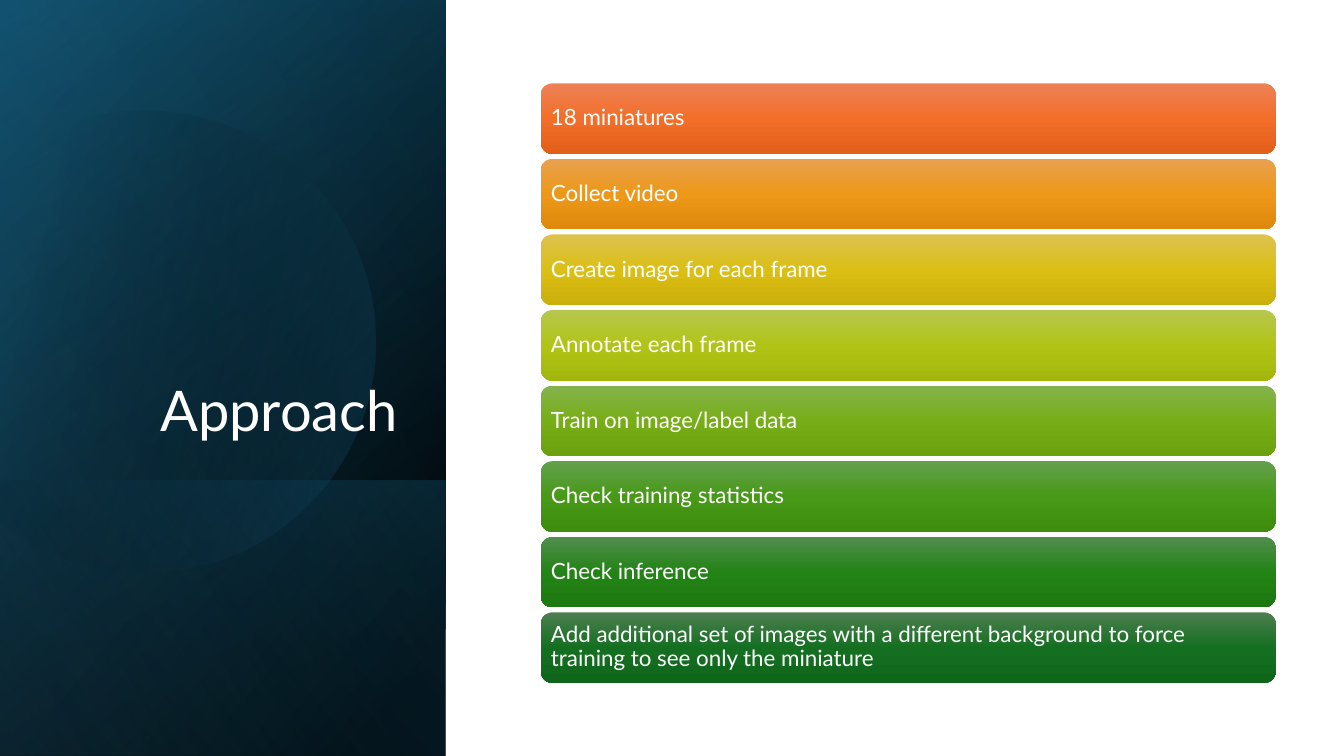
from math import cos, radians, sin, tan

from lxml import etree
from pptx import Presentation
from pptx.dml.color import RGBColor
from pptx.enum.shapes import MSO_SHAPE
from pptx.enum.text import MSO_ANCHOR, PP_ALIGN
from pptx.oxml.ns import qn
from pptx.util import Cm, Pt

RECT, ROUND = MSO_SHAPE.RECTANGLE, MSO_SHAPE.ROUNDED_RECTANGLE
MIDDLE, BOTTOM = MSO_ANCHOR.MIDDLE, MSO_ANCHOR.BOTTOM
LEFT, RIGHT = PP_ALIGN.LEFT, PP_ALIGN.RIGHT

FONT = "Lato"
WHITE = "FFFFFF"
SIDE_W, SLIDE_H = 11.23, 19.05
BAR_X, BAR_Y, BAR_W, BAR_H = 13.63, 2.1, 18.52, 1.78
BAR_STEP = 13.33 / 7

STEPS = [
    ("18 miniatures", "ED8257", "F26E29", "E25F1A"),
    ("Collect video", "E9A150", "ED9818", "DE890B"),
    ("Create image for each frame", "DCC34E", "DBBF15", "CBAF0A"),
    ("Annotate each frame", "B6C74E", "B1C416", "A3B60C"),
    ("Train on image/label data", "85B34E", "77AE17", "6BA10E"),
    ("Check training statistics", "63A04E", "489917", "3E8D0F"),
    ("Check inference", "518E4E", "238316", "1C790F"),
    ("Add additional set of images with a different background to force "
     "training to see only the miniature", "4D7E50", "156F21", "0F661B"),
]


def color(code):
    return RGBColor.from_string(code)


def blend(shape, stops, angle):
    """Fill with (position %, colour, opacity %) stops, angle clockwise."""
    shape.shadow.inherit = False
    shape.line.fill.background()
    shape.fill.gradient()
    grad = shape.fill._xPr.find(qn("a:gradFill"))
    items = grad.find(qn("a:gsLst"))
    for old in list(items):
        items.remove(old)
    for place, code, alpha in stops:
        stop = etree.SubElement(items, qn("a:gs"), pos=str(place * 1000))
        tint = etree.SubElement(stop, qn("a:srgbClr"), val=str(color(code)))
        if alpha < 100:
            etree.SubElement(tint, qn("a:alpha"), val=str(alpha * 1000))
    grad.find(qn("a:lin")).set("ang", str(int(angle * 60000)))


def panel(slide, top, height, stops, angle):
    """Cover the side strip from top down with a flipped quarter-turned box."""
    shift = (SIDE_W - height) / 2
    shape = slide.shapes.add_shape(
        RECT, Cm(shift), Cm(top - shift), Cm(height), Cm(SIDE_W))
    shape.rotation = 90
    shape._element.spPr.find(qn("a:xfrm")).set("flipH", "1")
    blend(shape, stops, angle)


def bend(line, start, end, radius):
    """Turn a straight path segment into an arc between two angles."""
    reach = radius * 4 / 3 * tan(radians(end - start) / 4)
    point = line.find(qn("a:pt"))
    x, y = int(point.get("x")), int(point.get("y"))
    a, b = radians(start), radians(end)
    first = (x + radius * (cos(a) - cos(b)) - reach * sin(a),
             y + radius * (sin(a) - sin(b)) + reach * cos(a))
    second = (x + reach * sin(b), y - reach * cos(b))
    curve = etree.Element(qn("a:cubicBezTo"))
    for px, py in (first, second, (x, y)):
        etree.SubElement(curve, qn("a:pt"), x=str(int(px)), y=str(int(py)))
    line.getparent().replace(line, curve)


def disc(slide, x, y, radius, turns, tilt, stops, angle):
    """Draw a circle through the given angles, cut straight at its ends."""
    points = [(Cm(x + radius * cos(radians(turn))),
               Cm(y + radius * sin(radians(turn)))) for turn in turns]
    form = slide.shapes.build_freeform(*points[0], scale=1.0)
    form.add_line_segments(points[1:], close=True)
    shape = form.convert_to_shape()
    lines = list(shape._element.iter(qn("a:lnTo")))
    for line, start, end in zip(lines, turns, turns[1:]):
        bend(line, start, end, Cm(radius))
    shape.rotation = tilt
    blend(shape, stops, angle)


def write(shape, text, size, align, anchor, inset):
    frame = shape.text_frame
    frame.word_wrap = True
    frame.vertical_anchor = anchor
    frame.margin_left = frame.margin_right = Cm(inset)
    frame.margin_top = frame.margin_bottom = Cm(0.15)
    para = frame.paragraphs[0]
    para.alignment = align
    para.line_spacing = 0.9
    run = para.add_run()
    run.text = text
    run.font.name = FONT
    run.font.size = Pt(size)
    run.font.color.rgb = color(WHITE)


def title(slide, text):
    box = slide.shapes.add_textbox(Cm(1.61), Cm(4.68), Cm(8.66), Cm(6.65))
    write(box, text, 40, RIGHT, BOTTOM, 0.25)


def bar(slide, row, text, *codes):
    shape = slide.shapes.add_shape(
        ROUND, Cm(BAR_X), Cm(BAR_Y + row * BAR_STEP), Cm(BAR_W), Cm(BAR_H))
    blend(shape, [(50 * i, code, 100) for i, code in enumerate(codes)], 90)
    write(shape, text, 16, LEFT, MIDDLE, 0.17)


def main():
    deck = Presentation()
    deck.slide_width, deck.slide_height = Cm(33.87), Cm(SLIDE_H)
    slide = deck.slides.add_slide(deck.slide_layouts[6])

    panel(slide, 0, SLIDE_H, [(8, "000000", 100), (100, "104862", 100)], 50)
    panel(slide, 0, SLIDE_H, [(0, "000000", 0), (99, "156082", 46)], 30)
    panel(slide, 12.1, 6.95, [(2, "156082", 29), (100, "000000", 30)], 130)
    disc(slide, 3.64, 8.5, 5.81, (-118, -90, 0, 90, 150), 343.9,
         [(29, "000000", 0), (100, "156082", 43)], 30)
    panel(slide, 0, SLIDE_H, [(0, "000000", 0), (99, "46B1E1", 11)], 120)

    title(slide, "Approach")
    for row, step in enumerate(STEPS):
        bar(slide, row, *step)
    deck.save("out.pptx")


if __name__ == "__main__":
    main()
